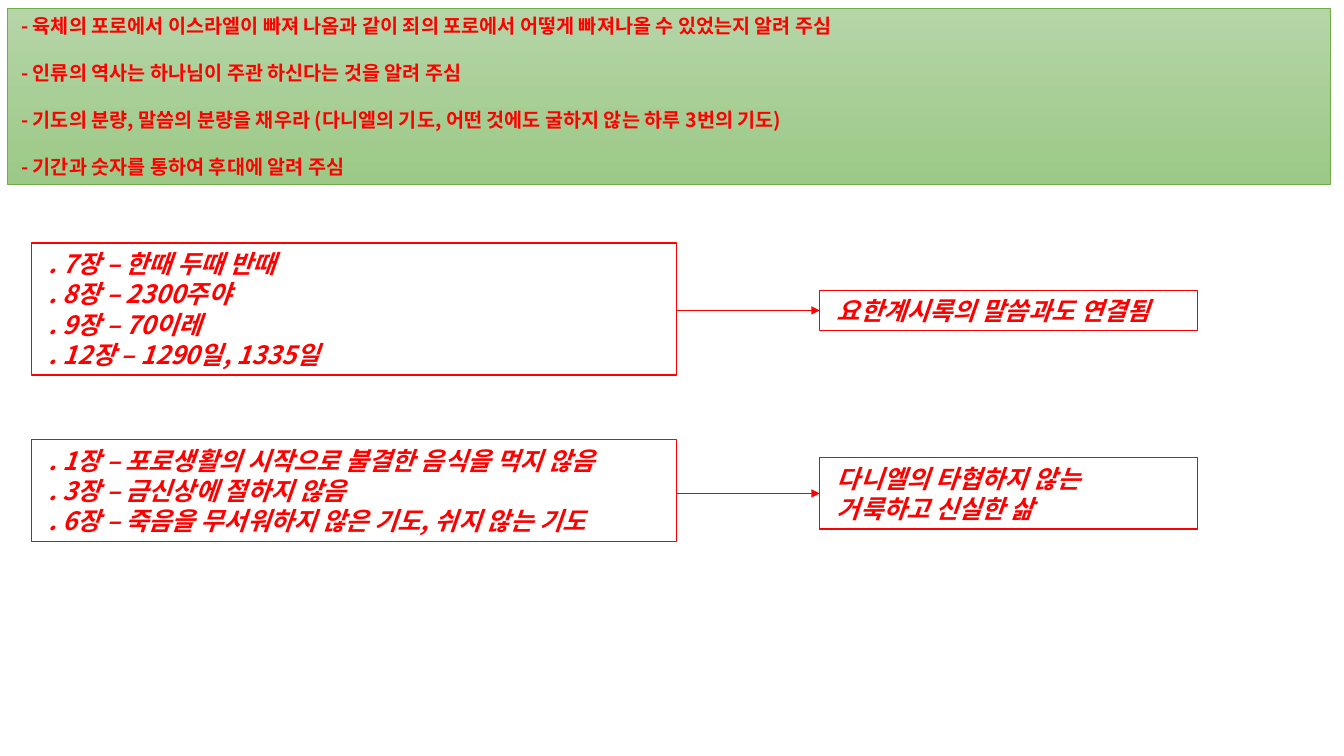
from pptx import Presentation
from pptx.dml.color import RGBColor
from pptx.enum.shapes import MSO_CONNECTOR, MSO_SHAPE
from pptx.enum.text import MSO_ANCHOR, PP_ALIGN
from pptx.oxml.ns import qn
from pptx.util import Inches, Pt
from lxml.etree import SubElement

RED = RGBColor(0xFF, 0x00, 0x00)
GREEN = RGBColor(0x70, 0xAD, 0x47)
GREEN_LIGHT = RGBColor(0xB5, 0xD5, 0xA7)
GREEN_DARK = RGBColor(0x9C, 0xC9, 0x87)
FONT = "Noto Sans CJK KR"
LINE_HEIGHT = 1.2

LEFT_X, LEFT_W = 0.31, 6.4
RIGHT_X, RIGHT_W = 8.13, 3.75

LESSONS = [
    "- 육체의 포로에서 이스라엘이 빠져 나옴과 같이 죄의 포로에서 어떻게 빠져나올 수 있었는지 알려 주심",
    "- 인류의 역사는 하나님이 주관 하신다는 것을 알려 주심",
    "- 기도의 분량, 말씀의 분량을 채우라 (다니엘의 기도, 어떤 것에도 굴하지 않는 하루 3번의 기도)",
    "- 기간과 숫자를 통하여 후대에 알려 주심",
]
# Each row: (top, height, lines) of the chapters, then of their meaning
ROWS = [
    ((2.41, 1.31, [". 7장 – 한때 두때 반때", ". 8장 – 2300주야",
                   ". 9장 – 70이레", ". 12장 – 1290일, 1335일"]),
     (2.88, 0.4, ["요한계시록의 말씀과도 연결됨"])),
    ((4.36, 1.01, [". 1장 – 포로생활의 시작으로 불결한 음식을 먹지 않음",
                   ". 3장 – 금신상에 절하지 않음",
                   ". 6장 – 죽음을 무서워하지 않은 기도, 쉬지 않는 기도"]),
     (4.54, 0.71, ["다니엘의 타협하지 않는", "거룩하고 신실한 삶"])),
]


def add_box(s, x, y, w, h, line_color, line_width):
    box = s.shapes.add_shape(MSO_SHAPE.RECTANGLE, Inches(x), Inches(y), Inches(w), Inches(h))
    box.shadow.inherit = False
    box.fill.background()
    box.line.color.rgb = line_color
    box.line.width = Pt(line_width)
    return box


def write_lines(box, lines, size, inset, italic=False, gap=0):
    tf = box.text_frame
    tf.word_wrap = True
    tf.vertical_anchor = MSO_ANCHOR.MIDDLE
    tf.margin_left = Inches(inset)
    for i, line in enumerate(lines):
        p = tf.add_paragraph() if i else tf.paragraphs[0]
        p.alignment = PP_ALIGN.LEFT
        p.line_spacing = Pt(size * LINE_HEIGHT)
        p.space_before = Pt(gap if i else 0)
        r = p.add_run()
        r.text = line
        r.font.name = FONT
        r.font.size = Pt(size)
        r.font.bold = True
        r.font.italic = italic
        r.font.color.rgb = RED
        SubElement(r.font._element, qn("a:ea"), typeface=FONT)


def add_arrow(s, x, target):
    """Draw a level arrow from x to the left side of the target box."""
    y = target.top + target.height // 2
    arrow = s.shapes.add_connector(MSO_CONNECTOR.STRAIGHT, Inches(x), y, target.left, y)
    arrow.end_connect(target, 1)
    arrow.line.color.rgb = RED
    arrow.line.width = Pt(1.25)
    SubElement(arrow.line._get_or_add_ln(), qn("a:tailEnd"), type="triangle")
    SubElement(arrow._element.spPr, qn("a:effectLst"))


def add_banner(s, x, y, w, h):
    banner = add_box(s, x, y, w, h, GREEN, 0.5)
    banner.fill.gradient()
    banner.fill.gradient_angle = 270
    for stop, color in zip(banner.fill.gradient_stops, (GREEN_LIGHT, GREEN_DARK)):
        stop.color.rgb = color
    write_lines(banner, LESSONS, 14, 0.14, gap=14 * LINE_HEIGHT)


def add_row(s, chapters, meaning):
    for x, w, (y, h, lines) in ((LEFT_X, LEFT_W, chapters), (RIGHT_X, RIGHT_W, meaning)):
        box = add_box(s, x, y, w, h, RED, 1)
        write_lines(box, lines, 18, 0.17, italic=True)
    add_arrow(s, LEFT_X + LEFT_W, box)


def main():
    prs = Presentation()
    prs.slide_width, prs.slide_height = Inches(13.33), Inches(7.5)
    s = prs.slides.add_slide(prs.slide_layouts[6])
    add_banner(s, 0.07, 0.08, 13.12, 1.75)
    for chapters, meaning in ROWS:
        add_row(s, chapters, meaning)
    prs.save("out.pptx")


if __name__ == "__main__":
    main()
